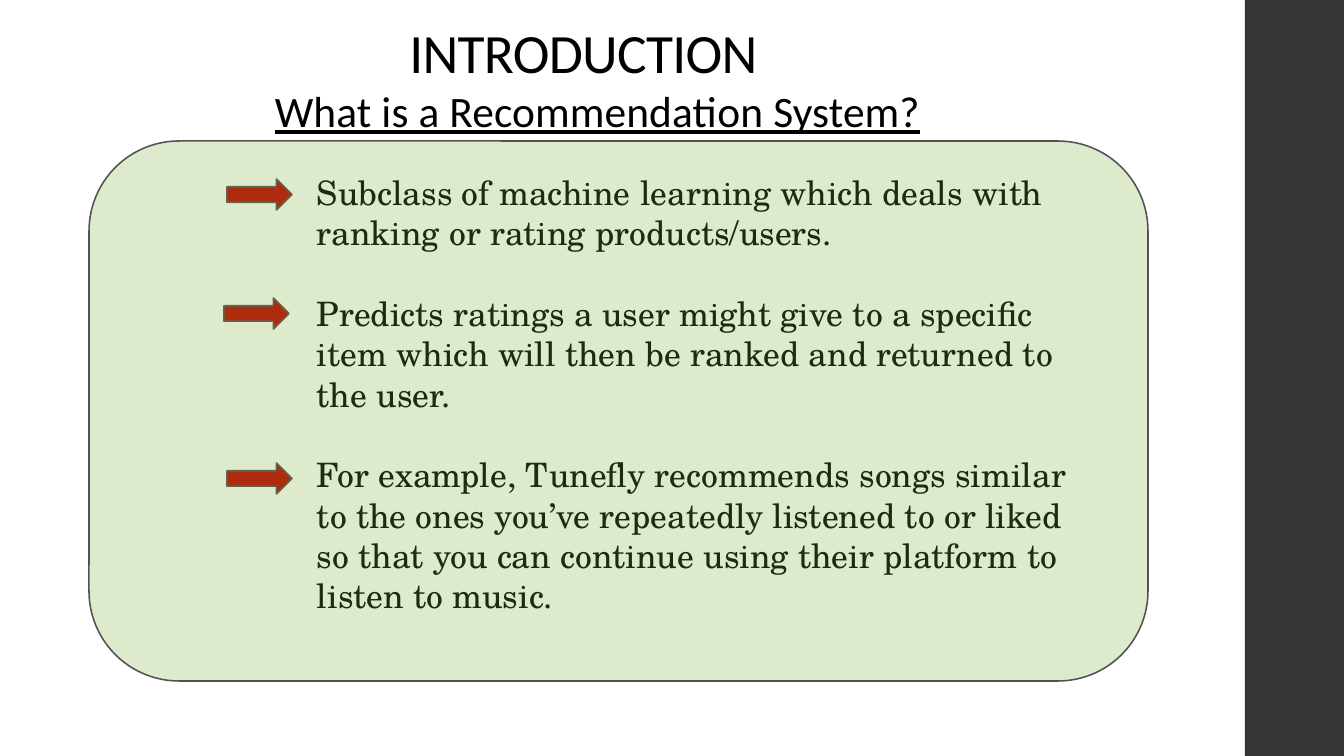
import pptx
import pptx.dml.color
import pptx.enum.shapes
import pptx.enum.text
import pptx.oxml
import pptx.oxml.ns
import pptx.util

THEME = {
    "heading_font": "Calibri", "points_font": "TeX Gyre Schola",
    "title_size": 39.6, "subtitle_size": 31, "points_size": 24,
    "text": "000000", "sidebar": "353537", "arrow": "C00000",
    "panel": "7AAD37", "outline": "525256",
}
PX = 914400 / 100.8
SHAPES = pptx.enum.shapes.MSO_SHAPE
CENTER = pptx.enum.text.PP_ALIGN.CENTER


def place(box, *lengths):
    box.left, box.top, box.width, box.height = [round(n * PX) for n in lengths]


def add_filled(kind, fill, outline, *lengths):
    shape = page.shapes.add_shape(kind, 0, 0, 0, 0)
    place(shape, *lengths)
    shape.shadow.inherit = False
    shape.fill.solid()
    shape.fill.fore_color.rgb = pptx.dml.color.RGBColor.from_string(THEME[fill])
    if outline:
        shape.line.color.rgb = pptx.dml.color.RGBColor.from_string(THEME[outline])
        shape.line.width = pptx.util.Pt(1.1)
    else:
        shape.line.fill.background()
    return shape


deck = pptx.Presentation()
deck.slide_width = round(1344 * PX)
deck.slide_height = round(756 * PX)
page = deck.slides.add_slide(deck.slide_layouts[1])
text_color = pptx.dml.color.RGBColor.from_string(THEME["text"])

add_filled(SHAPES.RECTANGLE, "sidebar", None, 1245, 0, 99, 756)

title = page.shapes.title
place(title, -18, 14, 1146, 77)
title.text_frame.margin_left = round(67 * PX)
title.text_frame.vertical_anchor = pptx.enum.text.MSO_ANCHOR.BOTTOM

subtitle = page.placeholders[1]
place(subtitle, 68, 83, 1059, 495)
subtitle.text_frame.vertical_anchor = pptx.enum.text.MSO_ANCHOR.TOP

headings = [
    (title, "INTRODUCTION", "title_size", 0.9, 0, 0, -50),
    (subtitle, "What is a Recommendation System?", "subtitle_size", 0.95, 14, 2, 10),
]
for box, wording, size, line_spacing, before, after, tracking in headings:
    box.text_frame.auto_size = pptx.enum.text.MSO_AUTO_SIZE.NONE
    box.text_frame.text = wording
    para = box.text_frame.paragraphs[0]
    para.alignment = CENTER
    para.line_spacing = line_spacing
    para.space_before = pptx.util.Pt(before)
    para.space_after = pptx.util.Pt(after)
    para.font.name = THEME["heading_font"]
    para.font.size = pptx.util.Pt(THEME[size])
    para.font.color.rgb = text_color
    para.font.underline = box is subtitle
    span = para.runs[0]
    span.font.name = THEME["heading_font"]
    span._r.get_or_add_rPr().set("spc", str(tracking))

subtitle_properties = subtitle.text_frame.paragraphs[0]._p.get_or_add_pPr()
subtitle_properties.set("marL", "0")
subtitle_properties.set("indent", "0")
no_bullet = pptx.oxml.parse_xml("<a:buNone %s/>" % pptx.oxml.ns.nsdecls("a"))
subtitle_properties.find(pptx.oxml.ns.qn("a:defRPr")).addprevious(no_bullet)

points = [
    "Subclass of machine learning which deals with ranking or rating products/users.",
    "Predicts ratings a user might give to a specific item which will then be "
    "ranked and returned to the user.",
    "For example, Tunefly recommends songs similar to the ones you’ve repeatedly "
    "listened to or liked so that you can continue using their platform to listen to music.",
]
points_box = page.shapes.add_textbox(0, 0, 0, 0)
place(points_box, 307, 167, 783, 489)
points_frame = points_box.text_frame
points_frame.word_wrap = True
points_frame.text = "\n".join(points)
for para in points_frame.paragraphs:
    para.space_after = pptx.util.Pt(28.8)
    for font in (para.font, para.runs[0].font):
        font.name = THEME["points_font"]
        font.size = pptx.util.Pt(THEME["points_size"])
        font.color.rgb = text_color

for left, top in [(227, 179), (224, 298), (227, 463)]:
    add_filled(SHAPES.RIGHT_ARROW, "arrow", "outline", left, top, 65, 31)

panel = add_filled(SHAPES.ROUNDED_RECTANGLE, "panel", "outline", 89, 141, 1059, 540)
panel_color = panel.fill._xPr.find(pptx.oxml.ns.qn("a:solidFill"))[0]
panel_color.append(pptx.oxml.parse_xml('<a:alpha %s val="25000"/>' % pptx.oxml.ns.nsdecls("a")))

for para in (title.text_frame.paragraphs[0], subtitle.text_frame.paragraphs[0]):
    para.runs[0].font.size = para.font.size
    para.runs[0].font.color.rgb = text_color
    para.runs[0].font.underline = para.font.underline

deck.save("out.pptx")
